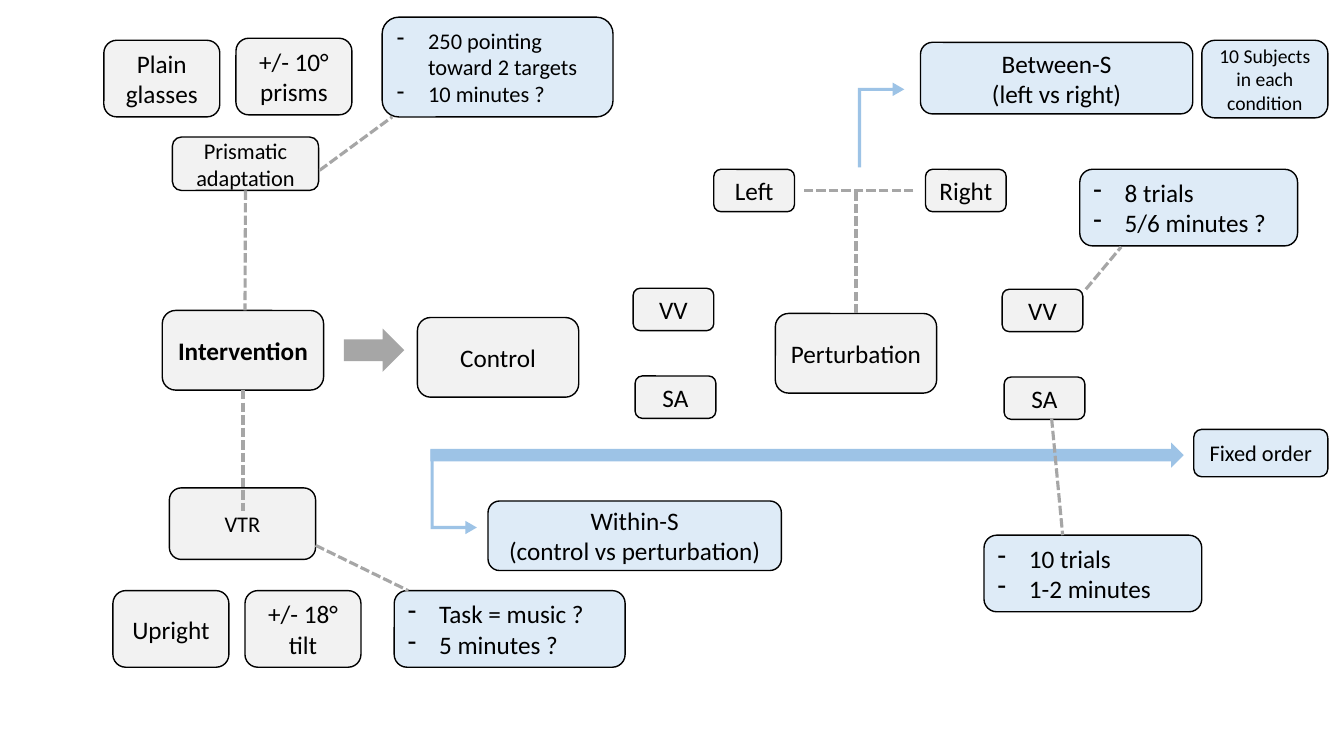
from lxml import etree
from pptx import Presentation
from pptx.dml.color import RGBColor
from pptx.enum import dml, shapes, text
from pptx.oxml import ns
from pptx.util import Inches, Pt

GREY, PALE_BLUE, BLACK = "F2F2F2", "DEEBF7", "000000"
MID_GREY, MID_BLUE = "A6A6A6", "9DC3E6"
SMALL, MEDIUM, LARGE = (0.8, 0.42), (1.15, 0.76), (1.6, 0.79)
TRIALS = (2.16, 0.76)

# paragraphs, (left, top), (width, height), text size
STEPS = [
    (["Control"], (4.14, 3.15), LARGE, 18),
    (["VV"], (6.28, 2.86), SMALL, 18),
    (["SA"], (6.3, 3.73), SMALL, 18),
    (["Perturbation"], (7.69, 3.11), LARGE, 18),
    (["Left"], (7.08, 1.68), SMALL, 18),
    (["Right"], (9.18, 1.68), SMALL, 18),
    (["Intervention"], (1.61, 3.08), LARGE, 18),
    (["VTR"], (1.68, 4.84), (1.45, 0.71), 16),
    (["Prismatic adaptation"], (1.71, 1.36), (1.45, 0.53), 16),
    (["VV"], (9.94, 2.87), SMALL, 18),
    (["SA"], (9.96, 3.74), SMALL, 18),
    (["Plain glasses"], (1.03, 0.4), MEDIUM, 18),
    (["+/- 10° prisms"], (2.34, 0.38), MEDIUM, 18),
    (["Upright"], (1.12, 5.86), MEDIUM, 18),
    (["+/- 18° tilt"], (2.43, 5.86), MEDIUM, 18),
]
DESIGN = [
    (["Between-S", "(left vs right)"], (9.13, 0.42), (2.7, 0.71), 18),
    (["Within-S", "(control vs perturbation)"], (4.84, 4.97), (2.91, 0.69), 18),
    (["Fixed order"], (11.84, 4.26), (1.33, 0.47), 16),
    (["10 Subjects in each condition"], (11.92, 0.4), (1.25, 0.77), 14),
]
DETAILS = [
    (["250 pointing toward 2 targets", "10 minutes ?"], (3.79, 0.17), (2.29, 0.99), 16),
    (["Task = music ?", "5 minutes ?"], (3.91, 5.86), (2.29, 0.76), 18),
    (["8 trials", "5/6 minutes ?"], (10.71, 1.68), TRIALS, 18),
    (["10 trials", "1-2 minutes"], (9.76, 5.31), TRIALS, 18),
]
# position, size, colour
STRAIGHT_ARROWS = [
    ((4.27, 4.39), (7.47, 0.25), MID_BLUE),
    ((3.41, 3.26), (0.6, 0.43), MID_GREY),
]
# position, mirrored
BENT_ARROWS = [((8.32, 1.01), True), ((4.08, 4.65), False)]
# from, to, box and side joined at the start
LINKS = [
    ((8.49, 3.11), (8.49, 1.89), ("Perturbation", 0)),
    ((9.06, 1.89), (7.97, 1.89), None),
    ((2.43, 1.89), (2.43, 3.08), ("Prismatic adaptation", 2)),
    ((2.41, 3.87), (2.41, 5.07), ("Intervention", 2)),
    ((10.77, 2.87), (11.12, 2.45), None),
    ((10.43, 4.15), (10.54, 5.31), None),
    ((3.17, 1.69), (3.89, 1.16), None),
    ((3.13, 5.41), (4.05, 5.86), None),
]

prs = Presentation()
prs.slide_width, prs.slide_height = Inches(13.33), Inches(7.5)
slide = prs.slides.add_slide(prs.slide_layouts[6])


def rgb(value):
    return RGBColor.from_string(value)


def add_shape(kind, at, size, fill):
    s = slide.shapes.add_shape(kind, *map(Inches, at + size))
    s.shadow.inherit = False
    s.fill.solid()
    s.fill.fore_color.rgb = rgb(fill)
    s.line.fill.background()
    return s


def add_dash(p):
    """Give a paragraph a hanging dash."""
    pPr = p._p.get_or_add_pPr()
    pPr.set("marL", str(Inches(0.31)))
    pPr.set("indent", str(-Inches(0.31)))
    etree.SubElement(pPr, ns.qn("a:buChar")).set("char", "-")


def add_box(lines, at, size, points, fill, dashed=False):
    s = add_shape(shapes.MSO_SHAPE.ROUNDED_RECTANGLE, at, size, fill)
    s.line.color.rgb = rgb(BLACK)
    s.line.width = Pt(1)
    tf = s.text_frame
    tf.word_wrap = True
    tf.vertical_anchor = text.MSO_ANCHOR.MIDDLE
    for i, line in enumerate(lines):
        p = tf.add_paragraph() if i else tf.paragraphs[0]
        p.alignment = text.PP_ALIGN.LEFT if dashed else text.PP_ALIGN.CENTER
        if dashed:
            add_dash(p)
        r = p.add_run()
        r.text = line
        r.font.name, r.font.size = "Calibri", Pt(points)
        r.font.color.rgb = rgb(BLACK)
        r.font.bold = line == "Intervention"
    return s


for at, size, fill in STRAIGHT_ARROWS:
    add_shape(shapes.MSO_SHAPE.RIGHT_ARROW, at, size, fill)

for at, mirrored in BENT_ARROWS:
    s = add_shape(shapes.MSO_SHAPE.BENT_UP_ARROW, at, (0.84, 0.46), MID_BLUE)
    s.rotation = 90
    for i, value in enumerate((0.067, 0.144, 0.25)):
        s.adjustments[i] = value
    if mirrored:
        s._element.spPr.find(ns.qn("a:xfrm")).set("flipH", "1")

boxes = {}
for group, fill, dashed in ((STEPS, GREY, False), (DESIGN, PALE_BLUE, False),
                            (DETAILS, PALE_BLUE, True)):
    for lines, at, size, points in group:
        boxes[lines[0]] = add_box(lines, at, size, points, fill, dashed)

for start, end, joint in LINKS:
    link = slide.shapes.add_connector(shapes.MSO_CONNECTOR.STRAIGHT,
                                      *map(Inches, start + end))
    link.line.color.rgb = rgb(MID_GREY)
    link.line.width = Pt(2.25)
    link.line.dash_style = dml.MSO_LINE.SQUARE_DOT
    etree.SubElement(link._element.spPr, ns.qn("a:effectLst"))
    if joint:
        name, side = joint
        link.begin_connect(boxes[name], side)

prs.save("out.pptx")
